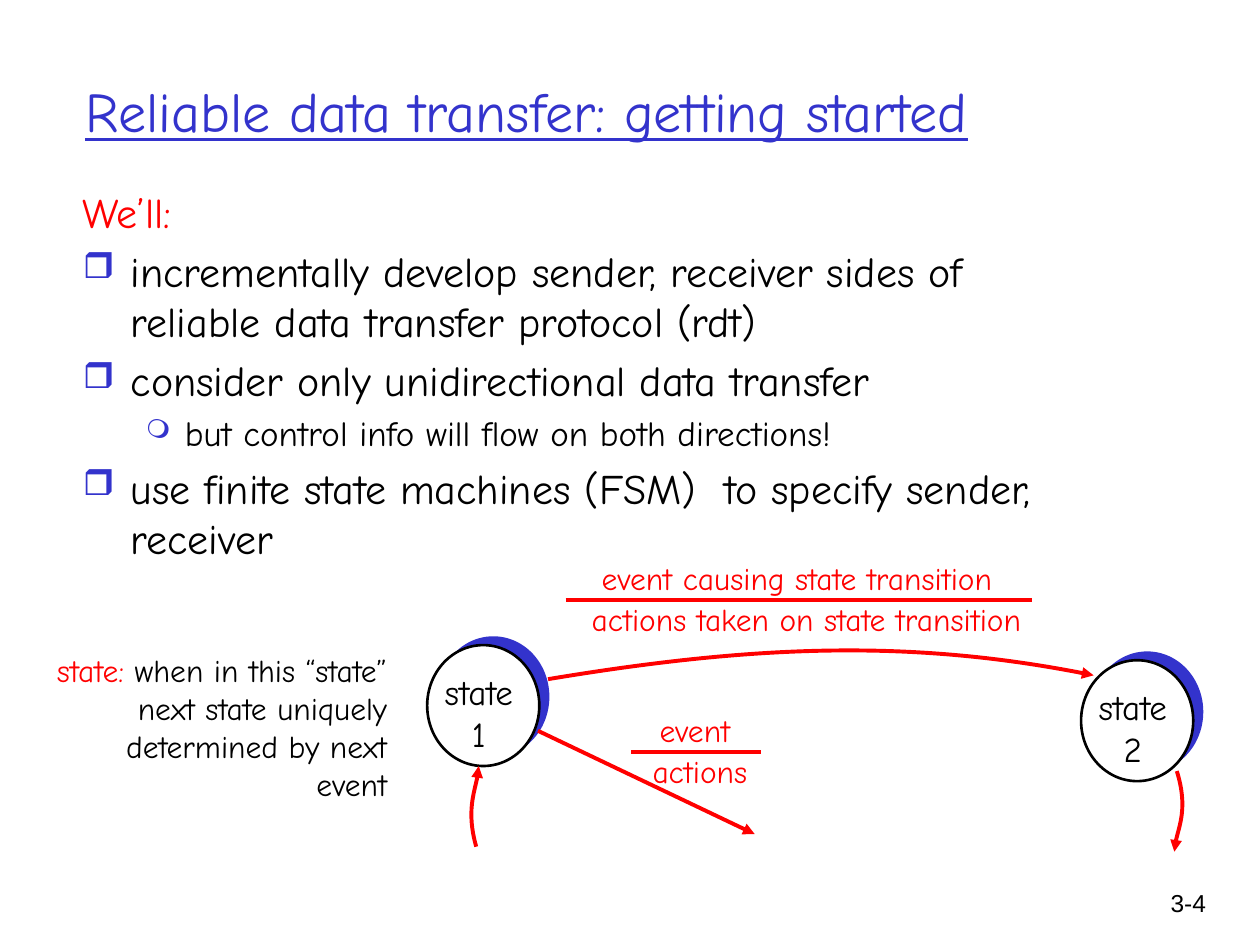
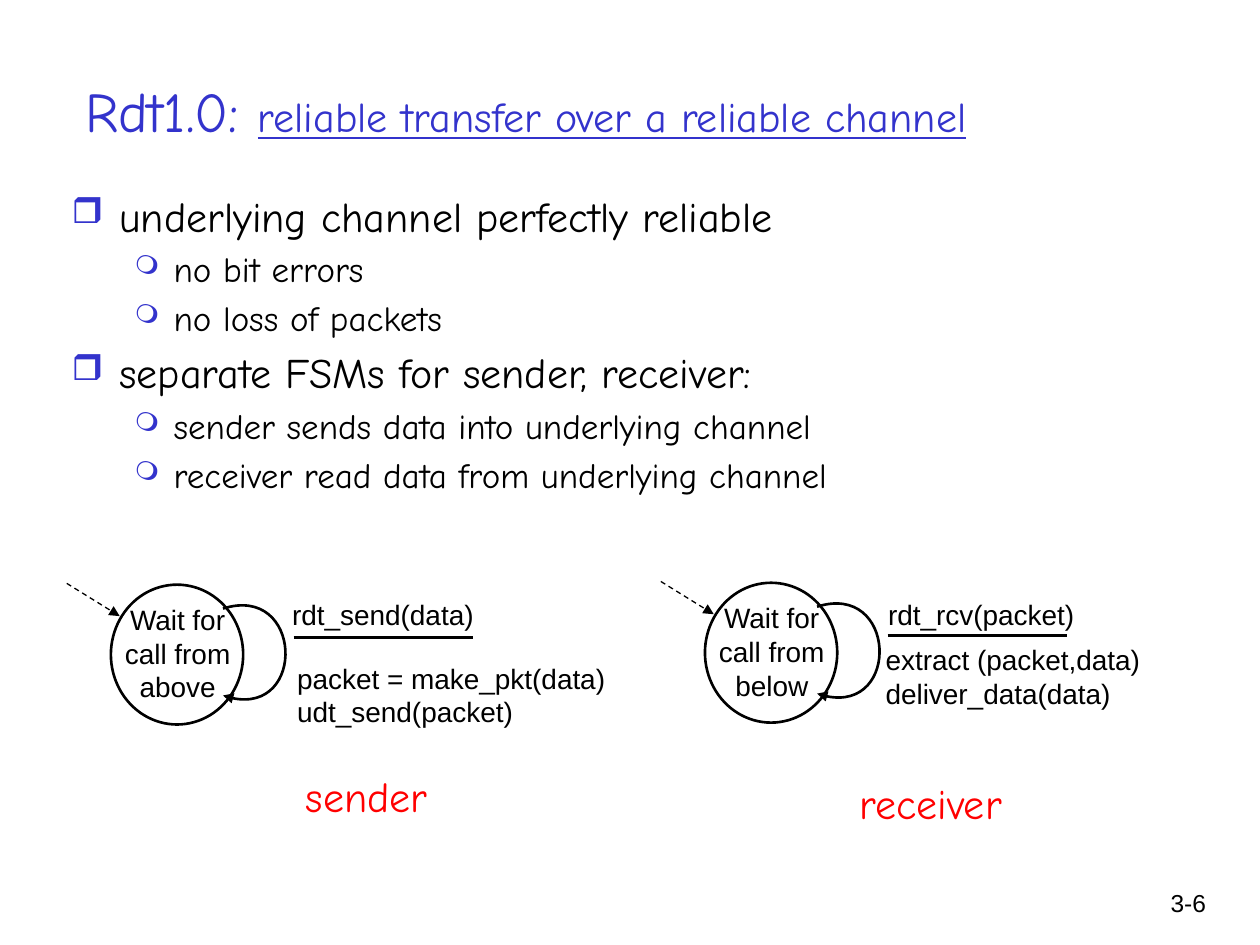
from lxml.etree import SubElement
from pptx import Presentation
from pptx.dml.color import RGBColor
from pptx.enum.dml import MSO_LINE_DASH_STYLE as Dash
from pptx.enum.shapes import MSO_CONNECTOR, MSO_SHAPE
from pptx.enum.text import MSO_ANCHOR, PP_ALIGN
from pptx.oxml.ns import qn
from pptx.util import Inches, Pt

BLUE = RGBColor(0x33, 0x33, 0xCC)
RED = RGBColor(0xFF, 0x00, 0x00)
BLACK = RGBColor(0x00, 0x00, 0x00)
WHITE = RGBColor(0xFF, 0xFF, 0xFF)
HAND, PLAIN = "Comic Neue", "Arial"
LEFT, CENTER, RIGHT = PP_ALIGN.LEFT, PP_ALIGN.CENTER, PP_ALIGN.RIGHT

deck = Presentation()
deck.slide_width, deck.slide_height = Inches(10), Inches(7.5)

# All positions below are counted on a grid of 100 columns by 75 rows.
COL = deck.slide_width / 100
ROW = deck.slide_height / 75


def add_text(slide, box, lines, size, color=BLACK, font=HAND, align=LEFT, wrap=True):
    """Put text on the grid; each line is a list of runs. Return its frame."""
    left, top, width, height = box
    frame = slide.shapes.add_textbox(int(left * COL), int(top * ROW),
                                     int(width * COL), int(height * ROW)).text_frame
    frame.word_wrap = wrap
    for number, runs in enumerate(lines):
        paragraph = frame.add_paragraph() if number else frame.paragraphs[0]
        paragraph.alignment = align
        for words in runs:
            run = paragraph.add_run()
            run.text = words
            run.font.name, run.font.size = font, Pt(size)
            run.font.color.rgb = color
    return frame


def draw_line(slide, points, color, weight, arrow=True, dash=None):
    """Draw a straight line through two points or a cubic curve through four."""
    places = [(int(x * COL), int(y * ROW)) for x, y in points]
    if len(places) == 2:
        stroke = slide.shapes.add_connector(MSO_CONNECTOR.STRAIGHT, *places[0], *places[1])
    else:
        builder = slide.shapes.build_freeform(*places[0])
        builder.add_line_segments(places[1:], close=False)
        stroke = builder.convert_to_shape()
        stroke.fill.background()
        outline = next(stroke.element.iter(qn("a:path")))
        segments = outline.findall(qn("a:lnTo"))
        curve = SubElement(outline, qn("a:cubicBezTo"))
        for segment in segments:
            curve.append(segment[0])
            outline.remove(segment)
    stroke.line.color.rgb, stroke.line.width = color, Pt(weight)
    if dash:
        stroke.line.dash_style = dash
    properties = stroke.element.spPr
    if arrow:
        SubElement(properties.find(qn("a:ln")), qn("a:tailEnd"), type="triangle")
    SubElement(properties, qn("a:effectLst"))


# Outline levels: text size, indent, hanging part, bullet, bullet size
LEVELS = {
    "heading": (24, 0.38, 0.38, None, None),
    "point": (24, 0.38, 0.38, "❒", 85),
    "detail": (20, 0.81, 0.31, "❍", 75),
}
PAGES = [
    ("3-4", ["Reliable data transfer: getting started"], (5.6, 14.3, 79.4, 36.7), [
        ("heading", "We’ll:"),
        ("point", "incrementally develop sender, receiver sides of "
                  "reliable data transfer protocol (rdt)"),
        ("point", "consider only unidirectional data transfer"),
        ("detail", "but control info will flow on both directions!"),
        ("point", "use finite state machines (FSM)  to specify sender, receiver"),
    ]),
    ("3-6", ["Rdt1.0: ", "reliable transfer over a reliable channel"], (4.7, 14.6, 86.4, 33), [
        ("point", "underlying channel perfectly reliable"),
        ("detail", "no bit errors"),
        ("detail", "no loss of packets"),
        ("point", "separate FSMs for sender, receiver:"),
        ("detail", "sender sends data into underlying channel"),
        ("detail", "receiver read data from underlying channel"),
    ]),
]

# Title, outline and page number of every slide
for page_number, title, body_box, outline_items in PAGES:
    slide = deck.slides.add_slide(deck.slide_layouts[6])
    add_text(slide, (89.3, 70, 7.4, 5), [[page_number]], 14, font=PLAIN, align=RIGHT)

    heading = add_text(slide, (5.8, 2.5, 87.5, 12.5), [title], 32, BLUE)
    heading.vertical_anchor = MSO_ANCHOR.MIDDLE
    title_runs = heading.paragraphs[0].runs
    title_runs[-1].font.underline = True
    for subtitle in title_runs[1:]:
        subtitle.font.size = Pt(24)

    body = add_text(slide, body_box, [[words] for _, words in outline_items], 24)
    for paragraph, (level, _) in zip(body.paragraphs, outline_items):
        size, indent, hanging, bullet, bullet_share = LEVELS[level]
        paragraph.runs[0].font.size = Pt(size)
        paragraph.space_before = Pt(size * 0.2)
        layout = paragraph._p.get_or_add_pPr()
        layout.set("marL", str(Inches(indent)))
        layout.set("indent", str(-Inches(hanging)))
        if bullet:
            SubElement(SubElement(layout, qn("a:buClr")), qn("a:srgbClr"), val=str(BLUE))
            SubElement(layout, qn("a:buSzPct"), val=str(bullet_share * 1000))
            SubElement(layout, qn("a:buChar"), char=bullet)
        else:
            paragraph.runs[0].font.color.rgb = RED

getting_started, rdt_one = deck.slides

# Slide 1: two states with an offset blue disc behind each
for state_number, left, top in [("1", 33.9, 51.2), ("2", 85.8, 52.4)]:
    for shift_x, shift_y, fill in [(0.8, -0.7, BLUE), (0, 0, WHITE)]:
        disc = getting_started.shapes.add_shape(
            MSO_SHAPE.OVAL, int((left + shift_x) * COL), int((top + shift_y) * ROW),
            int(8.9 * COL), int(9.6 * ROW))
        disc.shadow.inherit = False
        disc.fill.solid()
        disc.fill.fore_color.rgb = fill
        disc.line.fill.background()
    disc.line.color.rgb, disc.line.width = BLACK, Pt(1.5)
    add_text(getting_started, (left - 0.35, top + 1.55, 8.9, 7.7),
             [["state"], [state_number]], 20, align=CENTER, wrap=False)

# Transitions between the states
for transition in [
    [(43.5, 53.9), (59.7, 51.2), (72.6, 50.7), (86.8, 53.6)],
    [(37.8, 67.2), (37, 64.4), (38, 61.8), (38, 60.8)],
    [(93.4, 61.2), (94.3, 64.1), (93.2, 66.6), (93.2, 67.6)],
    [(42.7, 58), (59.9, 66.2)],
]:
    draw_line(getting_started, transition, RED, 2.25)

# Event over actions, parted by a rule
for event, event_box, actions, actions_box, rule_start, rule_end, rule_row in [
    ("event causing state transition", (44.9, 43.9, 36.7, 4),
     "actions taken on state transition", (44, 47.1, 40, 4), 44.9, 81.9, 47.6),
    ("event", (50.9, 55.9, 8.5, 4), "actions", (50.4, 59.2, 10.3, 4), 50.1, 60.4, 59.7),
]:
    for words, box in [(event, event_box), (actions, actions_box)]:
        add_text(getting_started, box, [[words]], 18, RED, align=CENTER, wrap=False)
    draw_line(getting_started, [(rule_start, rule_row), (rule_end, rule_row)],
              RED, 2.25, arrow=False)

definition = add_text(
    getting_started, (1.4, 51.2, 30.3, 13.5),
    [["state:", " when in this “state” next state uniquely determined by next event"]],
    18, align=RIGHT).paragraphs[0]
definition.runs[0].font.color.rgb = RED
definition.space_before = Pt(18 * 0.2)
definition_layout = definition._p.get_or_add_pPr()
definition_layout.set("marL", str(Inches(0.38)))
definition_layout.set("indent", str(-Inches(0.38)))

# Slide 2: one waiting state with a loop for each side
for side, side_box, left, top, waiting, event, event_box, actions, actions_box in [
    ("sender", (22.8, 60.7, 12.6, 5), 8.8, 46.4, "Wait for call from above",
     "rdt_send(data)", (22.2, 46.9, 24.7, 4.7),
     ["packet = make_pkt(data)", "udt_send(packet)"], (22.6, 52, 29.3, 6.5)),
    ("receiver", (66.4, 61.2, 14.9, 5), 55.95, 46.25, "Wait for call from below",
     "rdt_rcv(packet)", (69.5, 46.9, 24.7, 4.7),
     ["extract (packet,data)", "deliver_data(data)"], (69.3, 50.5, 27.2, 4.7)),
]:
    state = rdt_one.shapes.add_shape(MSO_SHAPE.OVAL, int(left * COL), int(top * ROW),
                                     int(10.5 * COL), int(11.1 * ROW))
    state.shadow.inherit = False
    state.fill.solid()
    state.fill.fore_color.rgb = WHITE
    state.line.color.rgb, state.line.width = BLACK, Pt(1.5)
    add_text(rdt_one, (left - 0.7, top + 0.95, 12, 10), [[waiting]], 16,
             font=PLAIN, align=CENTER)
    draw_line(rdt_one, [(left + 8.9, top + 1.9), (left + 15.2, top - 0.1),
                        (left + 15.6, top + 11.1), (left + 8.9, top + 8.8)], BLACK, 1.5)
    draw_line(rdt_one, [(left + 14.5, top + 4.2), (left + 28.7, top + 4.2)],
              BLACK, 1.5, arrow=False)
    draw_line(rdt_one, [(left - 3.5, top - 0.1), (left + 0.7, top + 2.5)],
              BLACK, 0.75, dash=Dash.DASH)
    add_text(rdt_one, event_box, [[event]], 16, font=PLAIN)
    add_text(rdt_one, actions_box, [[action] for action in actions], 16, font=PLAIN)
    add_text(rdt_one, side_box, [[side]], 24, RED, align=CENTER, wrap=False)

deck.save("out.pptx")
